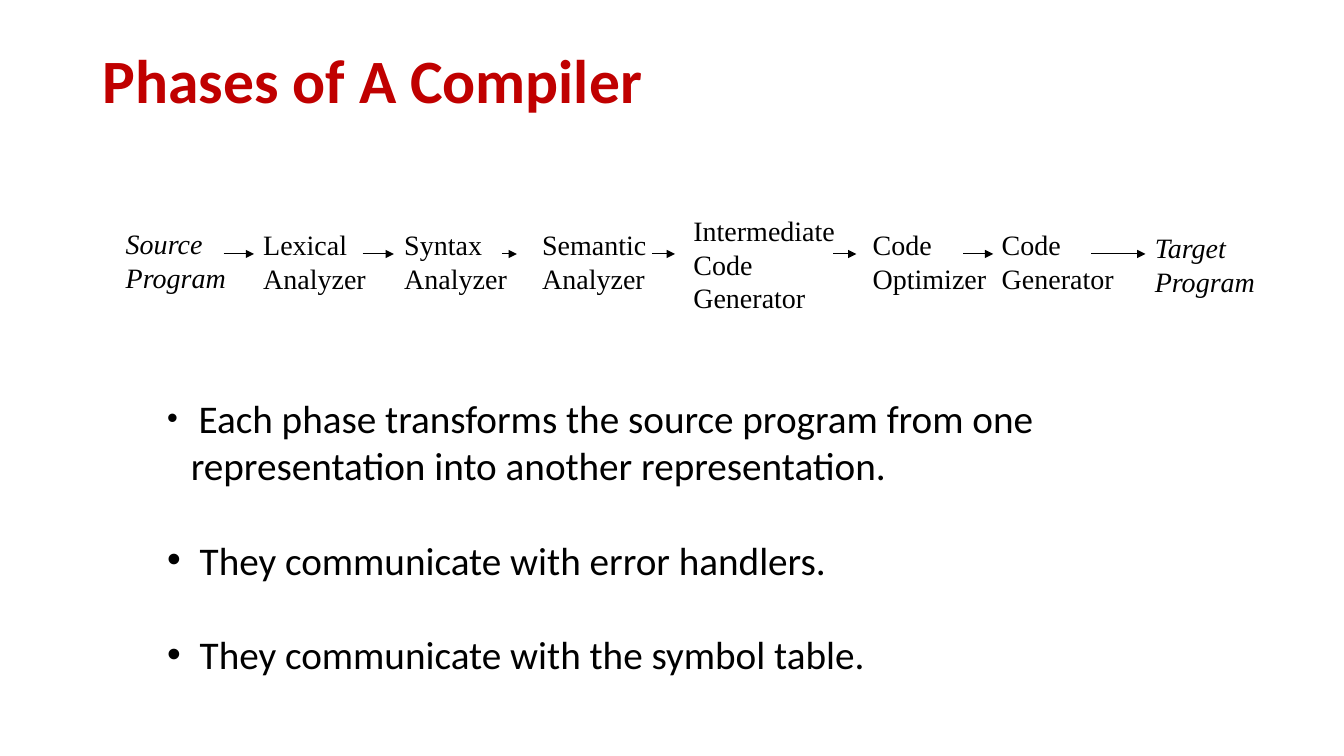
from pptx import Presentation
from pptx.util import Pt
from pptx.dml.color import RGBColor
from pptx.enum.shapes import MSO_CONNECTOR
from pptx.enum.text import MSO_ANCHOR, PP_ALIGN
from pptx.oxml.ns import qn
from lxml.etree import SubElement

COLORS = {"title": "C00000", "text": "000000"}
BODY_FONT, PHASE_FONT = "Calibri", "Times New Roman"

# Phase lines, left, top offset, width, height, italic
PHASES = [
    (["Source", "Program"], 0, 9.4, 88, 55.4, True),
    (["Lexical", "Analyzer"], 98.2, 10.1, 90, 55.4, False),
    (["Syntax", "Analyzer"], 199, 10.1, 93, 55.4, False),
    (["Semantic", "Analyzer"], 297.6, 10.1, 94.5, 55.4, False),
    (["Intermediate", "Code Generator"], 405.6, 0, 121, 79.2, False),
    (["Code", "Optimizer"], 533.8, 10.1, 96.5, 55.4, False),
    (["Code", "Generator"], 626, 10.1, 96.5, 55.4, False),
    (["Target", "Program"], 735.4, 12.2, 93.6, 55.4, True),
]
# Start and end of the arrow after each phase but the last
ARROWS = [(77, 98.8), (176.4, 198.7), (275.8, 286.6), (383, 399.6),
          (512.6, 529.2), (605.5, 627.1), (697, 735.8)]
POINTS = [
    "Each phase transforms the source program from one representation "
    "into another representation.",
    "They communicate with error handlers.",
    "They communicate with the symbol table.",
]


def set_font(font, name, size, color="text", bold=False, italic=False):
    font.name, font.size = name, Pt(size)
    font.bold, font.italic = bold, italic
    font.color.rgb = RGBColor.from_string(COLORS[color])


def add_text_box(slide, left, top, width, height):
    frame = slide.shapes.add_textbox(Pt(left), Pt(top), Pt(width), Pt(height)).text_frame
    frame.word_wrap = True
    return frame


def add_title(slide, left, top, width, height):
    title = slide.shapes.title
    title.left, title.top, title.width, title.height = map(Pt, (left, top, width, height))
    title.text_frame.text = "Phases of A Compiler"
    title.text_frame.vertical_anchor = MSO_ANCHOR.MIDDLE
    heading = title.text_frame.paragraphs[0]
    heading.alignment = PP_ALIGN.LEFT
    heading.line_spacing = 0.9
    set_font(heading.font, BODY_FONT, 44, "title", bold=True)


def add_arrow(slide, start, end, y):
    arrow = slide.shapes.add_connector(MSO_CONNECTOR.STRAIGHT, Pt(start), Pt(y), Pt(end), Pt(y))
    arrow.line.width = Pt(0.75)
    arrow.line.color.rgb = RGBColor.from_string(COLORS["text"])
    SubElement(arrow.line._get_or_add_ln(), qn("a:tailEnd"), type="triangle")
    SubElement(arrow._element.spPr, qn("a:effectLst"))


def add_pipeline(slide, left, top):
    # Phases
    for lines, x, y, width, height, italic in PHASES:
        phase = add_text_box(slide, left + x, top + y, width, height)
        phase.text = "\n".join(lines)
        for line in phase.paragraphs:
            set_font(line.font, PHASE_FONT, 20, italic=italic)
    # Arrows between them
    for start, end in ARROWS:
        add_arrow(slide, left + start, left + end, top + 32.4)


def add_bullet(paragraph):
    properties = paragraph._p.get_or_add_pPr()
    properties.set("marL", str(Pt(17)))
    properties.set("indent", str(-Pt(17)))
    bullet_color = SubElement(properties, qn("a:buClr"))
    SubElement(bullet_color, qn("a:srgbClr"), val=COLORS["text"])
    SubElement(properties, qn("a:buFont"), typeface="Arial")
    SubElement(properties, qn("a:buChar"), char="•")


def add_points(slide, left, top, width, height):
    points = add_text_box(slide, left, top, width, height)
    for number, text in enumerate(POINTS):
        point = points.paragraphs[0] if number == 0 else points.add_paragraph()
        point.space_before = Pt(34 if number else 0)
        add_bullet(point)
        # The first bullet is smaller, sized by its leading space
        lead, wording = point.add_run(), point.add_run()
        lead.text, wording.text = " ", text
        if number == 0:
            set_font(lead.font, PHASE_FONT, 22)
        else:
            set_font(lead.font, BODY_FONT, 28)
        set_font(wording.font, BODY_FONT, 28)


def main():
    deck = Presentation()
    deck.slide_width, deck.slide_height = Pt(960.5), Pt(540)
    slide = deck.slides.add_slide(deck.slide_layouts[5])
    add_title(slide, 66.2, 28.8, 828, 61.2)
    add_pipeline(slide, 82.8, 149)
    add_points(slide, 112.3, 278, 730, 208.8)
    deck.save("out.pptx")


if __name__ == "__main__":
    main()
